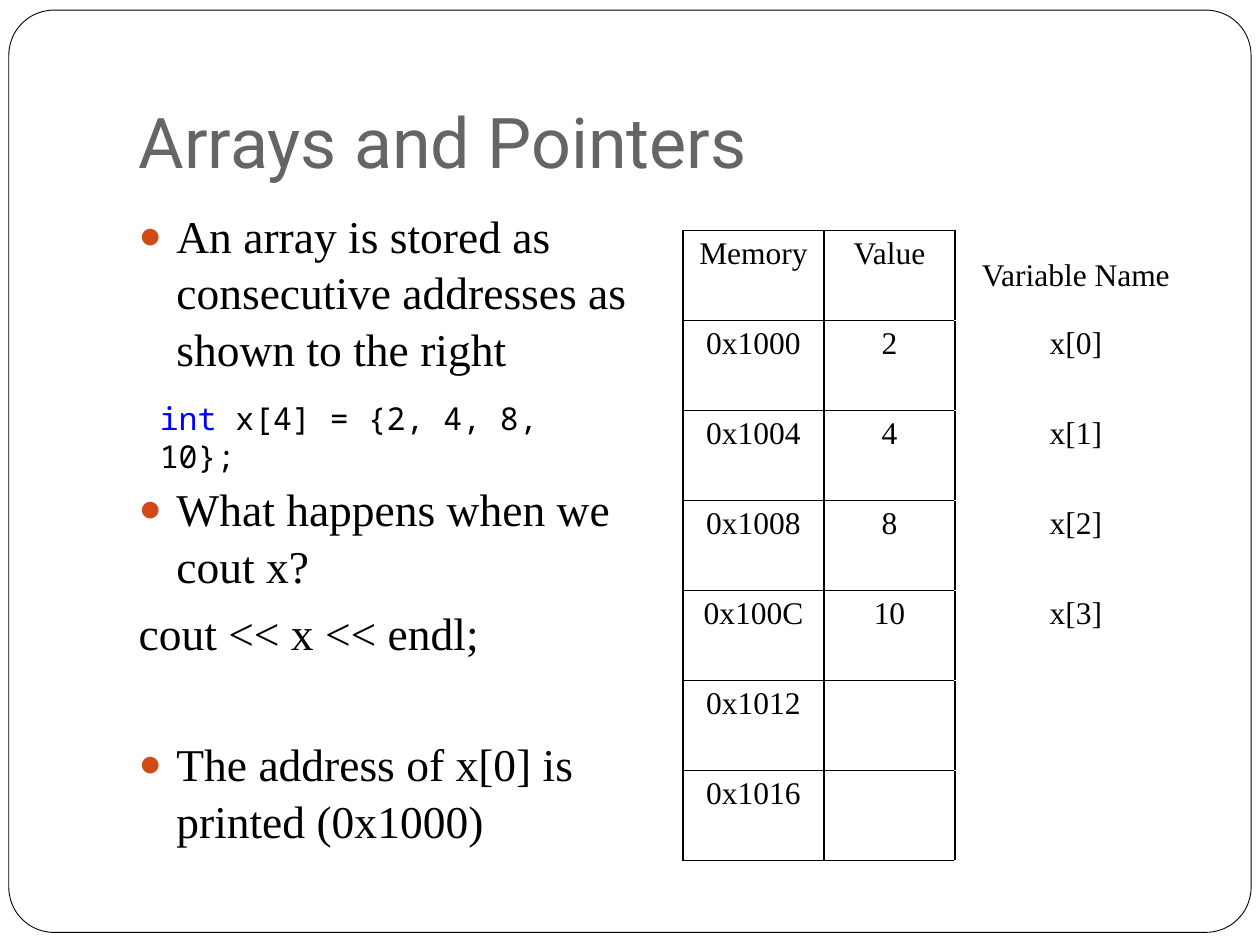
from lxml.etree import SubElement
from pptx import Presentation
from pptx.dml.color import RGBColor
from pptx.enum.shapes import MSO_SHAPE
from pptx.enum.text import MSO_ANCHOR, MSO_AUTO_SIZE, PP_ALIGN
from pptx.oxml.ns import qn
from pptx.util import Inches, Pt

COLORS = {"paper": "FFFFFF", "ink": "000000", "title": "696464",
          "bullet": "D34817", "keyword": "0000FF"}
SERIF, SANS, MONO = "Times New Roman", "Roboto", "Noto Sans Mono"
BODY_SIZE = 26
LINE_SPACING = 1.04
PARAGRAPH_GAP = 5.8
SECTION_GAP = 42.7

MEMORY_ROWS = [
    ("Memory", "Value", "Variable Name"),
    ("0x1000", "2", "x[0]"),
    ("0x1004", "4", "x[1]"),
    ("0x1008", "8", "x[2]"),
    ("0x100C", "10", "x[3]"),
    ("0x1012", "", ""),
    ("0x1016", "", ""),
]
COLUMN_WIDTHS = (1.12, 1.04, 1.92)


def rgb(name):
    return RGBColor.from_string(COLORS[name])


def place(shape, left, top, width, height):
    shape.left, shape.top = Inches(left), Inches(top)
    shape.width, shape.height = Inches(width), Inches(height)


def add_run(paragraph, text, font, size, color="ink"):
    run = paragraph.add_run()
    run.text = text
    run.font.name, run.font.size = font, Pt(size)
    run.font.color.rgb = rgb(color)


def set_bullet(paragraph, bulleted):
    """Give the paragraph a hanging round bullet, or none and no indent."""
    props = paragraph._p.get_or_add_pPr()
    indent = Inches(0.3) if bulleted else 0
    props.set("marL", str(indent))
    props.set("indent", str(-indent))
    if not bulleted:
        SubElement(props, qn("a:buNone"))
        return
    color = SubElement(props, qn("a:buClr"))
    SubElement(color, qn("a:srgbClr"), val=COLORS["bullet"])
    SubElement(props, qn("a:buSzPct"), val="85000")
    SubElement(props, qn("a:buChar"), char="●")


def add_frame(slide, left, top, width, height):
    frame = slide.shapes.add_shape(
        MSO_SHAPE.ROUNDED_RECTANGLE, Inches(left), Inches(top),
        Inches(width), Inches(height))
    frame.adjustments[0] = 0.049
    frame.shadow.inherit = False
    frame.fill.solid()
    frame.fill.fore_color.rgb = rgb("paper")
    frame.line.color.rgb = rgb("ink")
    frame.line.width = Pt(0.5)
    tree = frame._element.getparent()
    tree.insert(2, frame._element)  # behind the placeholders


def fill_title(title, *box):
    place(title, *box)
    text = title.text_frame
    text.vertical_anchor = MSO_ANCHOR.BOTTOM
    text.auto_size = MSO_AUTO_SIZE.NONE
    text.margin_bottom = Inches(0.1)
    heading = text.paragraphs[0]
    heading.alignment = PP_ALIGN.LEFT
    add_run(heading, "Arrays and Pointers", SANS, 40, "title")


def fill_body(body, items, *box):
    """Fill a placeholder from (text, bulleted, space before) items."""
    place(body, *box)
    text = body.text_frame
    text.auto_size = MSO_AUTO_SIZE.NONE
    for index, (words, bulleted, gap) in enumerate(items):
        paragraph = text.add_paragraph() if index else text.paragraphs[0]
        set_bullet(paragraph, bulleted)
        paragraph.space_before = Pt(gap)
        paragraph.line_spacing = LINE_SPACING
        add_run(paragraph, words, SERIF, BODY_SIZE)


def add_declaration(slide, left, top, width, height):
    declaration = slide.shapes.add_textbox(
        Inches(left), Inches(top), Inches(width), Inches(height))
    text = declaration.text_frame
    text.word_wrap = True
    code = text.paragraphs[0]
    add_run(code, "int", MONO, 18, "keyword")
    add_run(code, " x[4] = {2, 4, 8, 10};", MONO, 18)


def set_borders(cell, sides):
    props = cell._tc.get_or_add_tcPr()
    for index, side in enumerate(sides):
        line = props.makeelement(qn(f"a:ln{side}"), {"w": str(Pt(1))})
        fill = SubElement(line, qn("a:solidFill"))
        SubElement(fill, qn("a:srgbClr"), val=COLORS["ink"])
        props.insert(index, line)  # borders come before the fill


def add_memory_table(slide, left, top, width, height):
    table = slide.shapes.add_table(
        len(MEMORY_ROWS), len(COLUMN_WIDTHS), Inches(left), Inches(top),
        Inches(width), Inches(height)).table
    table.first_row = table.horz_banding = False
    for column, column_width in zip(table.columns, COLUMN_WIDTHS):
        column.width = Inches(column_width)
    for row_index, row in enumerate(MEMORY_ROWS):
        for column_index, value in enumerate(row):
            cell = table.cell(row_index, column_index)
            cell.fill.background()
            set_borders(cell, "L" if column_index == 2 else "LRTB")
            paragraph = cell.text_frame.paragraphs[0]
            paragraph.alignment = PP_ALIGN.CENTER
            if value:
                add_run(paragraph, value, SERIF, 18)
    table.cell(0, 2).vertical_anchor = MSO_ANCHOR.MIDDLE


def main():
    deck = Presentation()
    deck.slide_width, deck.slide_height = Inches(10), Inches(7.5)
    slide = deck.slides.add_slide(deck.slide_layouts.get_by_name("Two Content"))
    title, storage, printing = slide.placeholders

    add_frame(slide, 0.07, 0.08, 9.86, 7.32)
    fill_title(title, 1, 0.3, 8.5, 1.25)
    fill_body(storage, [
        ("An array is stored as consecutive addresses as shown to the right",
         True, 0),
    ], 1, 1.58, 4.25, 1.54)
    add_memory_table(slide, 5.42, 1.83, 4.08, 5)
    add_declaration(slide, 1.17, 3.12, 3.66, 0.4)
    fill_body(printing, [
        ("What happens when we cout x?", True, 0),
        ("cout << x << endl;", False, PARAGRAPH_GAP),
        ("The address of x[0] is printed (0x1000)", True, SECTION_GAP),
    ], 1, 3.75, 4.25, 3.5)
    deck.save("out.pptx")


if __name__ == "__main__":
    main()
